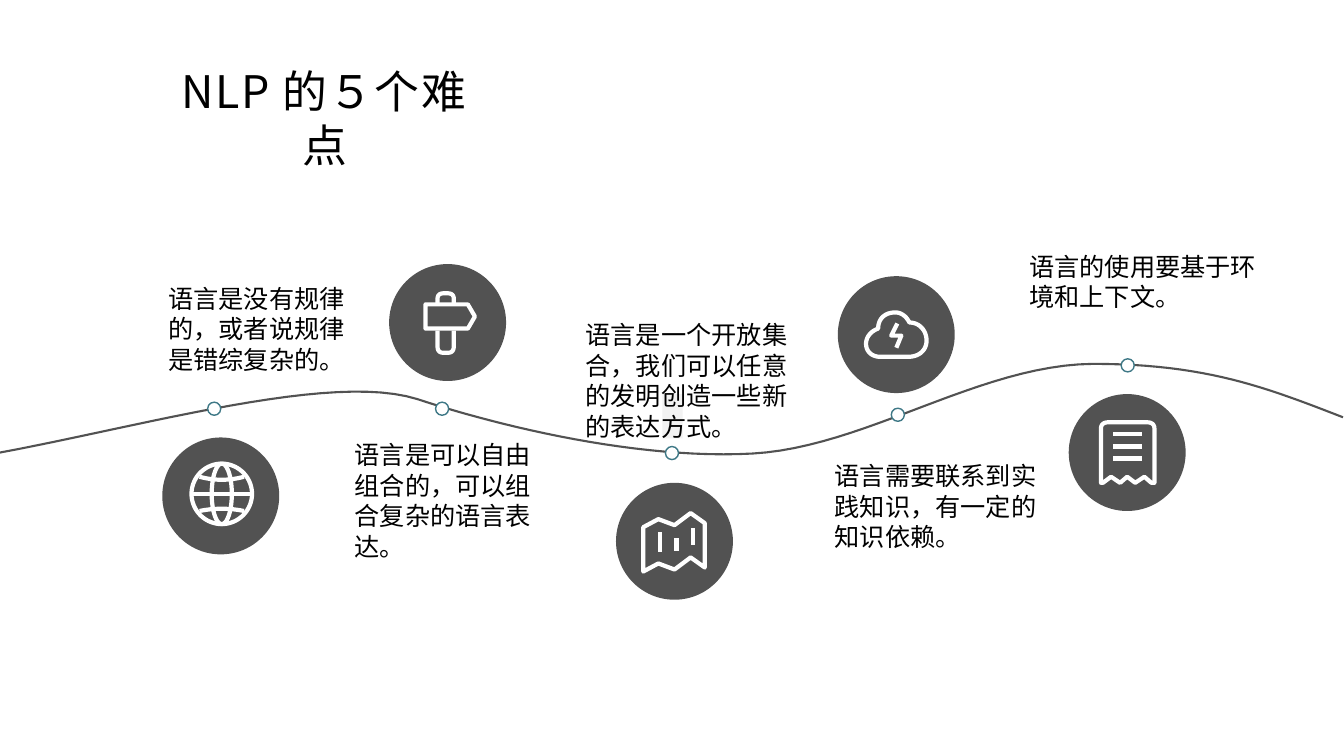
from lxml.etree import SubElement
from pptx import Presentation
from pptx.dml.color import RGBColor as Rgb
from pptx.enum.shapes import MSO_SHAPE as Preset
from pptx.enum.text import PP_ALIGN as Align
from pptx.oxml.ns import qn
from pptx.util import Inches, Pt

COLORS = {"gray": "525252", "teal": "3E7886", "white": "FFFFFF",
          "pale": "F2F2F2", "black": "000000"}
BODY_FONT, TITLE_FONT = "Noto Sans CJK SC", "Noto Sans CJK JP"
TITLE = "NLP 的５个难点"

# left, top, width, height, wording
NOTES = [
    (1.57, 2.73, 1.99, 1.4, "语言是没有规律的，或者说规律是错综复杂的。"),
    (3.42, 4.28, 1.99, 1.71, "语言是可以自由组合的，可以组合复杂的语言表达。"),
    (5.71, 3.09, 2.24, 1.71, "语言是一个开放集合，我们可以任意的发明创造一些新的表达方式。"),
    (8.18, 4.49, 2.44, 1.4, "语言需要联系到实践知识，有一定的知识依赖。"),
    (10.11, 2.41, 2.64, 1.1, "语言的使用要基于环境和上下文。"),
]
DOT_SIZE, BADGE_SIZE = 0.13, 1.16
DOTS = [(2.06, 3.99), (4.32, 3.99), (6.6, 4.43), (8.84, 4.05), (11.12, 3.56)]


def oval(x, y, rx, ry):
    """Closed stroke of four cubic curves."""
    kx, ky = 0.55 * rx, 0.55 * ry
    return [(x, y - ry),
            (x + kx, y - ry, x + rx, y - ky, x + rx, y),
            (x + rx, y + ky, x + kx, y + ry, x, y + ry),
            (x - kx, y + ry, x - rx, y + ky, x - rx, y),
            (x - rx, y - ky, x - kx, y - ry, x, y - ry)]


# A stroke is a start point, then lines (x, y) or cubic curves (six numbers)
WAVE = [(0, 4.49), (1.45, 4.22, 3.29, 3.69, 4.14, 3.96),
        (4.99, 4.24, 6.34, 4.56, 7.46, 4.5),
        (8.58, 4.44, 9.71, 3.62, 10.84, 3.61),
        (11.97, 3.61, 12.57, 3.85, 13.32, 4.14)]
GLOBE = [
    oval(2.2, 4.9, 0.3, 0.3), oval(2.2, 4.9, 0.1, 0.3),
    [(1.9, 4.9), (2.5, 4.9)],
    [(1.98, 4.73), (2.12, 4.77, 2.28, 4.77, 2.42, 4.73)],
    [(1.98, 5.07), (2.12, 5.04, 2.28, 5.04, 2.42, 5.07)],
]
SIGNPOST = [
    [(4.22, 3.02), (4.64, 3.02), (4.71, 3.14), (4.64, 3.26), (4.22, 3.26),
     (4.22, 3.02)],
    [(4.34, 3.01), (4.34, 2.96), (4.34, 2.93, 4.36, 2.91, 4.4, 2.91),
     (4.44, 2.91), (4.48, 2.91, 4.5, 2.93, 4.5, 2.96), (4.5, 3.01)],
    [(4.34, 3.28), (4.34, 3.44), (4.34, 3.48, 4.36, 3.5, 4.4, 3.5),
     (4.44, 3.5), (4.48, 3.5, 4.5, 3.48, 4.5, 3.44), (4.5, 3.28)],
]
FOLDED_MAP = [
    [(6.38, 5.67), (6.38, 5.23), (6.53, 5.15), (6.69, 5.21), (6.85, 5.09),
     (6.99, 5.19), (6.99, 5.63), (6.85, 5.53), (6.69, 5.65), (6.53, 5.59),
     (6.38, 5.67)],
    [(6.55, 5.28), (6.55, 5.48)],
    [(6.71, 5.34), (6.71, 5.47)],
    [(6.87, 5.24), (6.87, 5.41)],
]
CLOUD = [
    [(8.73, 3.54), (8.65, 3.54, 8.59, 3.49, 8.59, 3.41),
     (8.59, 3.35, 8.63, 3.29, 8.71, 3.26),
     (8.71, 3.16, 8.78, 3.1, 8.88, 3.1),
     (8.94, 3.1, 8.99, 3.14, 9.02, 3.2),
     (9.12, 3.2, 9.19, 3.28, 9.19, 3.38),
     (9.19, 3.47, 9.12, 3.54, 9.01, 3.54), (8.73, 3.54)],
    [(8.9, 3.21), (8.84, 3.33), (8.94, 3.33), (8.89, 3.45)],
]
RECEIPT = [
    [(10.92, 4.79), (10.92, 4.25), (10.92, 4.21, 10.95, 4.19, 10.99, 4.19),
     (11.38, 4.19), (11.42, 4.19, 11.45, 4.21, 11.45, 4.25), (11.45, 4.79),
     (11.42, 4.79), (11.35, 4.73), (11.26, 4.79), (11.18, 4.73),
     (11.11, 4.79), (11.02, 4.73), (10.94, 4.79), (10.92, 4.79)],
    *[[(11.04, y), (11.33, y)] for y in (4.31, 4.43, 4.55)],
]
BADGES = [(1.61, 4.34, GLOBE), (3.86, 2.62, SIGNPOST), (6.11, 4.79, FOLDED_MAP),
          (8.31, 2.74, CLOUD), (10.6, 3.91, RECEIPT)]


def color(name):
    return Rgb.from_string(COLORS[name])


def set_line(shape, name, width):
    shape.line.color.rgb = color(name)
    shape.line.width = Pt(width)


def add_preset(shapes, preset, place, fill, line=None):
    shape = shapes.add_shape(preset, *map(Inches, place))
    shape.shadow.inherit = False
    shape.fill.solid()
    shape.fill.fore_color.rgb = color(fill)
    if line:
        set_line(shape, line, 1)
    else:
        shape.line.fill.background()


def trace(stroke, steps=24):
    """Turn a stroke into points in EMU."""
    points = [stroke[0]]
    for part in stroke[1:]:
        if len(part) == 2:
            points.append(part)
            continue
        ends = (points[-1], part[:2], part[2:4], part[4:])
        for step in range(1, steps + 1):
            t = step / steps
            weights = ((1 - t) ** 3, 3 * t * (1 - t) ** 2, 3 * t * t * (1 - t), t ** 3)
            points.append(tuple(sum(w * end[axis] for w, end in zip(weights, ends))
                                for axis in (0, 1)))
    return [(Inches(x), Inches(y)) for x, y in points]


def add_strokes(shapes, strokes, line, width):
    traced = [trace(stroke) for stroke in strokes]
    builder = shapes.build_freeform(*traced[0][0])
    for index, points in enumerate(traced):
        if index:
            builder.move_to(*points[0])
        builder.add_line_segments(points[1:], close=points[0] == points[-1])
    shape = builder.convert_to_shape()
    shape.shadow.inherit = False
    shape.fill.background()
    set_line(shape, line, width)


def add_text(shapes, place, text, font, size, pitch, top_inset):
    box = shapes.add_textbox(*map(Inches, place))
    box.text_frame.word_wrap = True
    box.text_frame.margin_top = Inches(top_inset)
    para = box.text_frame.paragraphs[0]
    para.line_spacing = Pt(pitch)
    span = para.add_run()
    span.text = text
    span.font.size = Pt(size)
    span.font.color.rgb = color("black")
    span.font.name = font
    properties = span.font._element
    SubElement(properties, qn("a:ea")).set("typeface", font)
    return para, properties


def main():
    deck = Presentation()
    deck.slide_width, deck.slide_height = Inches(13.33), Inches(7.5)
    page = deck.slides.add_slide(deck.slide_layouts[6])
    shapes = page.shapes

    # Winding line with its stops
    add_preset(shapes, Preset.RECTANGLE, (6.57, 3.91, 0.2, 0.44), "pale")
    add_strokes(shapes, [WAVE], "gray", 1.5)
    for left, top in DOTS:
        add_preset(shapes, Preset.OVAL, (left, top, DOT_SIZE, DOT_SIZE), "white", "teal")

    # Round badges with icons
    for left, top, icon in BADGES:
        badge = shapes.add_group_shape()
        add_preset(badge.shapes, Preset.OVAL, (left, top, BADGE_SIZE, BADGE_SIZE), "gray")
        add_strokes(badge.shapes, icon, "white", 3)

    # Five difficulties
    for *place, text in NOTES:
        add_text(shapes, place, text, BODY_FONT, 18, 21.7, 0.08)

    # Title
    para, properties = add_text(shapes, (1.57, 0.53, 3.3, 0.64), TITLE,
                                TITLE_FONT, 32, 38.6, 0.1)
    para.alignment = Align.CENTER
    properties.set("spc", "100")

    deck.save("out.pptx")


if __name__ == "__main__":
    main()
